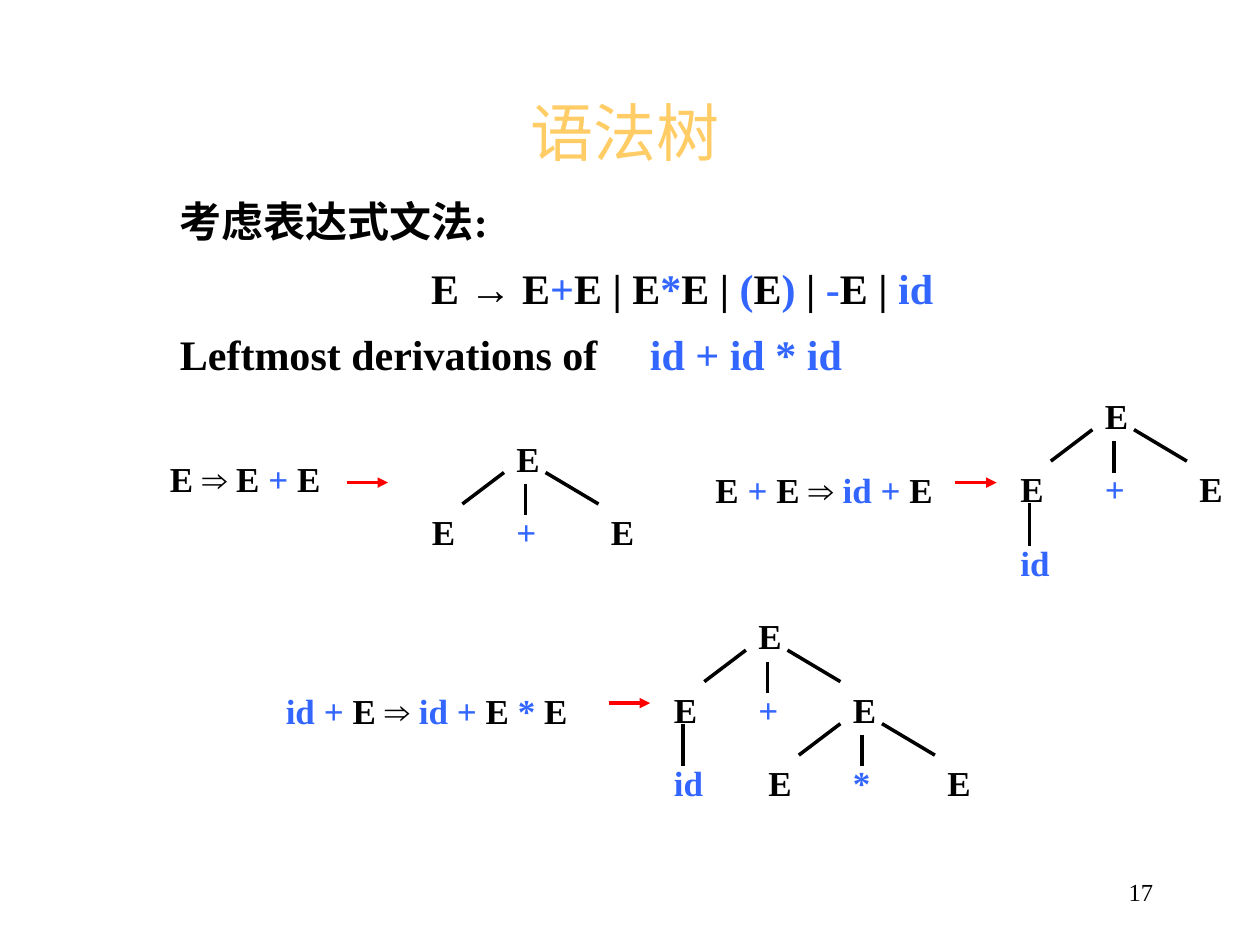
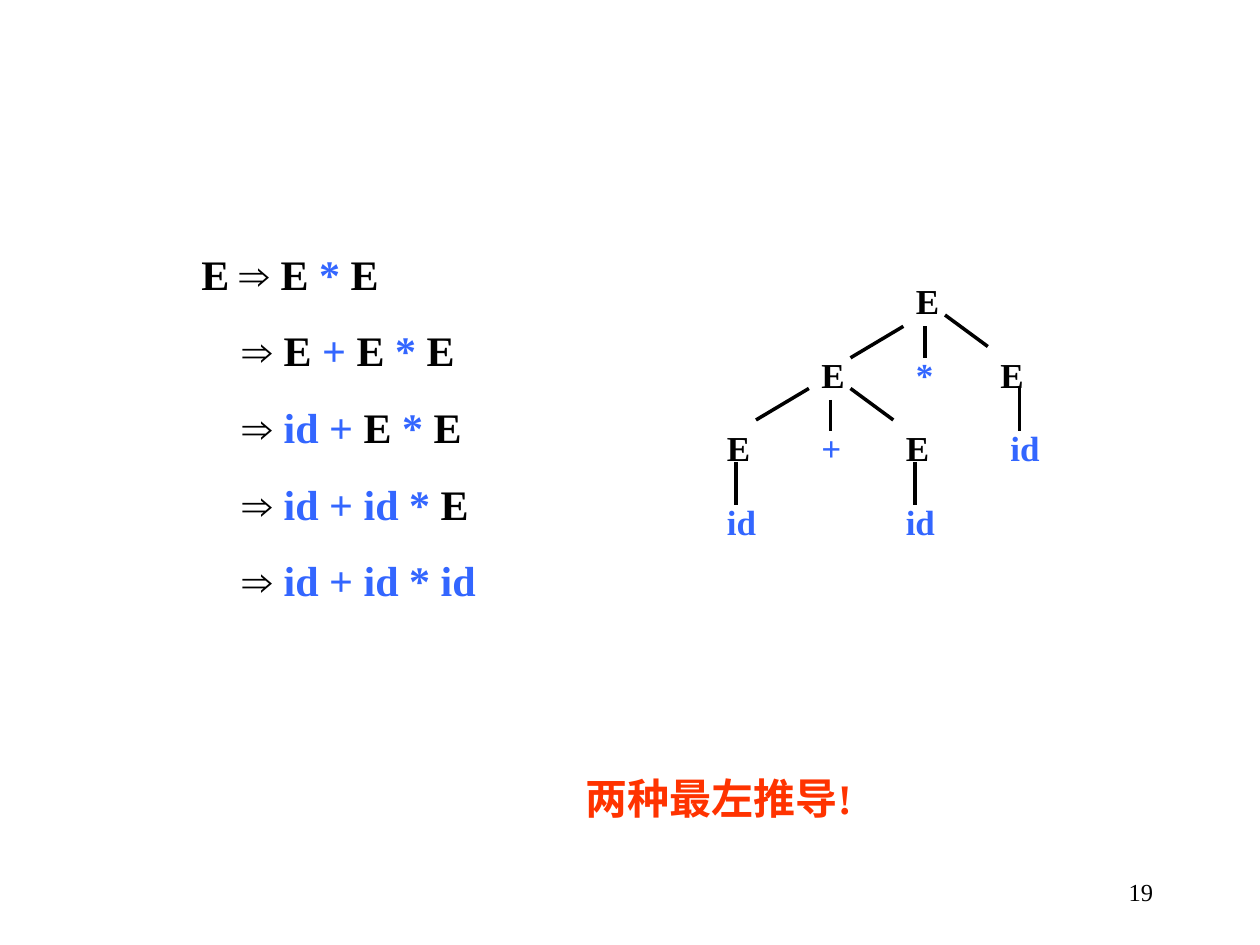
from itertools import groupby

from lxml import etree
from pptx import Presentation
from pptx import util as u
from pptx.dml.color import RGBColor
from pptx.enum import shapes, text
from pptx.oxml import ns

BLACK, BLUE, RED, GOLD, ORANGE = "000000", "3366FF", "FF0000", "FFCC66", "FF3300"
SERIF, SANS = "Times New Roman", "Arial"
TERMINALS, ARROWS = "id+*()-", "→⇒"
LEFT, CENTER, RIGHT = text.PP_ALIGN.LEFT, text.PP_ALIGN.CENTER, text.PP_ALIGN.RIGHT
TOP, MIDDLE = text.MSO_ANCHOR.TOP, text.MSO_ANCHOR.MIDDLE

LEVEL = 7 / 12
FANS = {
    "lean right": [
        (-0.67, (0, 0.33), (-0.33, 0.58)),
        (0, (0.17, 0.42), (0.17, 0.67)),
        (0.75, (0.33, 0.33), (0.75, 0.58)),
    ],
    "lean left": [
        (-0.75, (0, 0.33), (-0.42, 0.58)),
        (0, (0.17, 0.42), (0.17, 0.67)),
        (0.67, (0.33, 0.33), (0.67, 0.58)),
    ],
    "lean left, low": [
        (-0.75, (0, 0.42), (-0.42, 0.67)),
        (0, (0.17, 0.42), (0.17, 0.67)),
        (0.67, (0.33, 0.33), (0.67, 0.58)),
    ],
    "stem": [(0, (0.17, 0.33), (0.17, 0.67))],
    "stem aside": [(0.08, (0.25, 0.33), (0.25, 0.67))],
}


def leaf(label):
    return label, None, []


E, PLUS, TIMES, ID = leaf("E"), leaf("+"), leaf("*"), leaf("id")
E_ID = ("E", "stem", [ID])
E_ID_ASIDE = ("E", "stem aside", [ID])
E_TIMES_E = ("E", "lean right", [E, TIMES, E])
ID_PLUS_ID = ("E", "lean left", [E_ID, PLUS, E_ID])

TITLE = "语法树"
INTRO = "考虑表达式文法:"
GRAMMAR = "E → E+E | E*E | (E) | -E | id"
TASK, SENTENCE = "Leftmost derivations of\t", "id + id * id"
STEPS = [
    ("E ⇒ E + E", (1.25, 3.58, 1.58), (2.75, 3.83), (4, 3.42),
     ("E", "lean right", [E, PLUS, E])),
    ("E + E ⇒ id + E", (5.58, 3.67, 2), (7.58, 3.83), (8.67, 3.08),
     ("E", "lean right", [E_ID, PLUS, E])),
    ("id + E ⇒ id + E * E", (2.17, 5.42, 2.67), (4.83, 5.58), (5.92, 4.83),
     ("E", "lean right", [E_ID, PLUS, E_TIMES_E])),
]
DERIVATION = [
    "E ⇒ E * E",
    "⇒ E + E * E",
    "⇒ id + E * E",
    "⇒ id + id * E",
    "⇒ id + id * id",
]
SECOND_TREE = ("E", "lean left, low", [ID_PLUS_ID, TIMES, E_ID_ASIDE])
REMARK = "两种最左推导!"


def rgb(value):
    return RGBColor.from_string(value)


def symbol_style(symbol):
    if symbol in ARROWS:
        return BLACK, SANS
    return (BLUE if symbol in TERMINALS else BLACK), SERIF


def formula(words):
    return [("".join(part), *style) for style, part in groupby(words, symbol_style)]


def plain(words, color=BLACK, font=SERIF):
    return [(words, color, font)]


def add_text(page, place, lines, size, align=LEFT, anchor=TOP, bold=True):
    box = page.shapes.add_textbox(*map(u.Inches, place))
    frame = box.text_frame
    frame.word_wrap = True
    frame.vertical_anchor = anchor
    for index, line in enumerate(lines):
        para = frame.add_paragraph() if index else frame.paragraphs[0]
        para.alignment = align
        if index:
            para.space_before = u.Pt(15)
        for words, color, font in line:
            span = para.add_run()
            span.text = words
            span.font.size = u.Pt(size)
            span.font.bold = bold
            span.font.name = font
            span.font.color.rgb = rgb(color)
    return frame.paragraphs


def add_line(page, start, end, color=BLACK, arrow=False):
    line = page.shapes.add_connector(
        shapes.MSO_CONNECTOR.STRAIGHT, *map(u.Inches, (*start, *end)))
    line.line.color.rgb = rgb(color)
    line.line.width = u.Pt(2)
    if arrow:
        etree.SubElement(line.line._get_or_add_ln(), ns.qn("a:tailEnd"), type="triangle")
    etree.SubElement(line._element.spPr, ns.qn("a:effectLst"))


def add_tree(page, node, x, y):
    label, fan, children = node
    add_text(page, (x, y, 0.58, 0.44), [formula(label)], 20)
    for child, (shift, start, end) in zip(children, FANS.get(fan, [])):
        add_line(page, (x + start[0], y + start[1]), (x + end[0], y + end[1]))
        add_tree(page, child, x + shift, y + LEVEL)


def add_page(deck, number):
    page = deck.slides.add_slide(deck.slide_layouts[6])
    add_text(page, (7.17, 6.83, 2.08, 0.5), [plain(number)], 14, RIGHT, MIDDLE, False)
    return page


def add_tab(para, position):
    tabs = etree.SubElement(para._p.get_or_add_pPr(), ns.qn("a:tabLst"))
    etree.SubElement(tabs, ns.qn("a:tab"), pos=str(u.Inches(position)), algn="l")


def build_syntax_tree(deck):
    page = add_page(deck, "17")
    add_text(page, (0.75, 0.67, 8.42, 0.75), [plain(TITLE, GOLD, SANS)],
             36, CENTER, MIDDLE, False)
    lines = [plain(INTRO), formula(GRAMMAR), plain(TASK) + formula(SENTENCE)]
    intro, grammar, task = add_text(page, (1.33, 1.5, 8.17, 1.56), lines, 24)
    grammar.alignment = CENTER
    grammar.line_spacing = task.line_spacing = 0.8
    add_tab(task, 3.73)
    for words, (x, y, width), (arrow_x, arrow_y), root, tree in STEPS:
        add_text(page, (x, y, width, 0.44), [formula(words)], 20)
        add_line(page, (arrow_x, arrow_y), (arrow_x + 0.33, arrow_y), RED, True)
        add_tree(page, tree, *root)


def build_second_derivation(deck):
    page = add_page(deck, "19")
    paras = add_text(page, (1.5, 1.92, 3.17, 2.94), map(formula, DERIVATION), 24)
    for para in paras[1:]:
        para._p.get_or_add_pPr().set("marL", str(u.Inches(0.33)))
    add_tree(page, SECOND_TREE, 7.17, 2.17)
    add_text(page, (2.58, 6.08, 6.25, 0.5), [plain(REMARK, ORANGE)], 24, CENTER)


def main():
    deck = Presentation()
    deck.slide_width, deck.slide_height = u.Inches(10), u.Inches(7.5)
    build_syntax_tree(deck)
    build_second_derivation(deck)
    deck.save("out.pptx")


if __name__ == "__main__":
    main()
